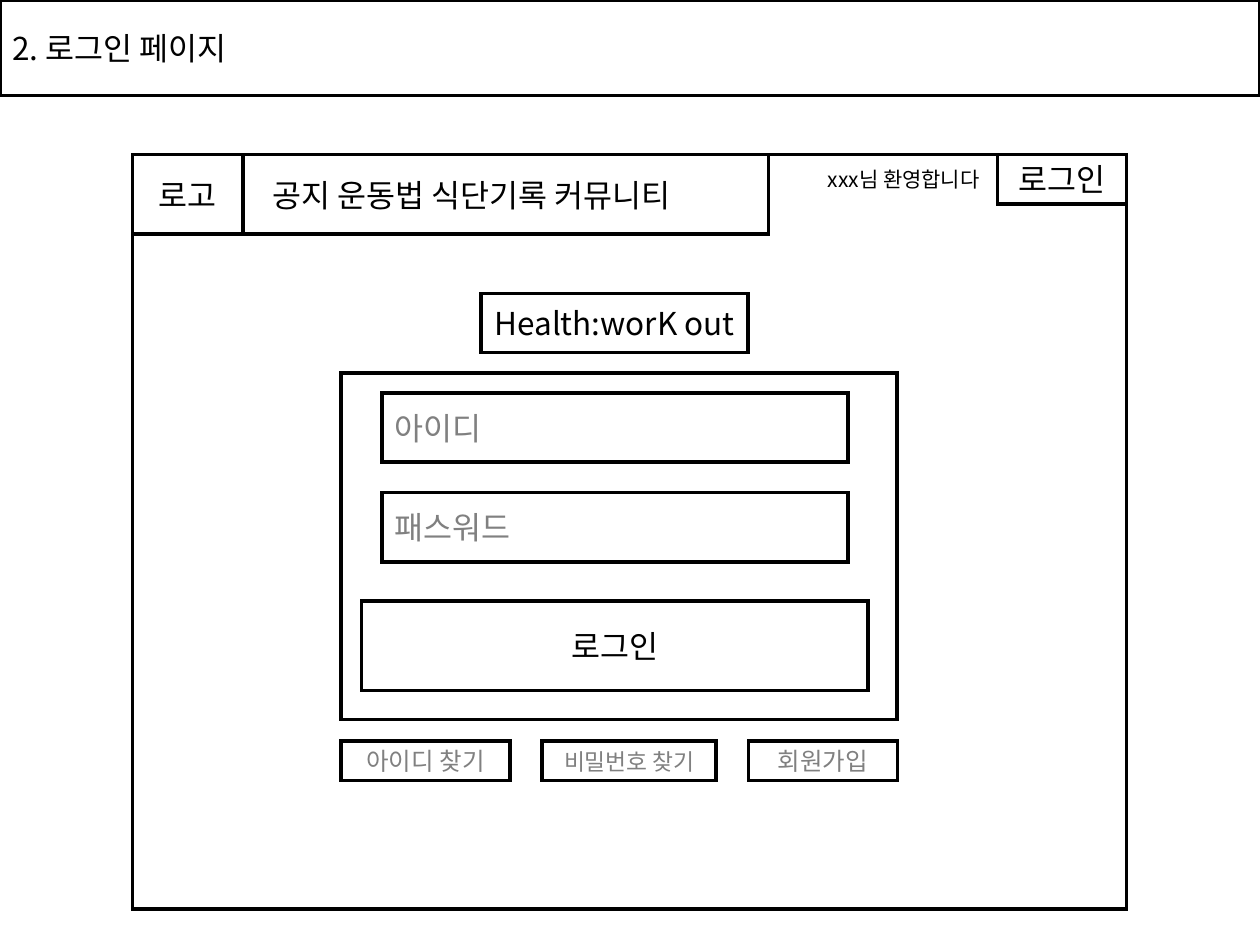
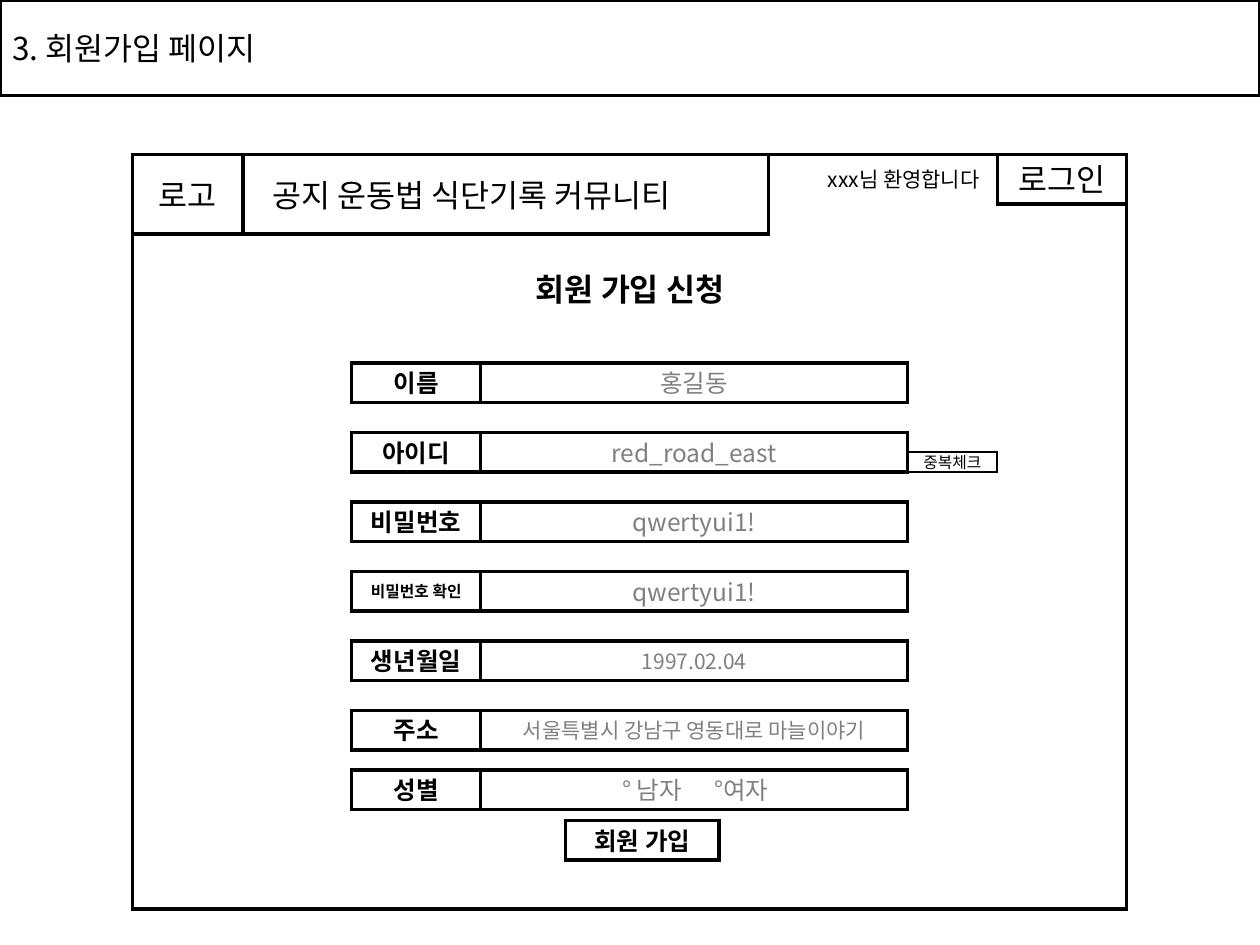
"""Build two wireframe slides: a login page and a sign-up page."""
from lxml import etree
from pptx import Presentation
from pptx.dml.color import RGBColor
from pptx.enum.shapes import MSO_SHAPE
from pptx.enum.text import MSO_ANCHOR, PP_ALIGN
from pptx.oxml.ns import qn
from pptx.util import Cm, Pt

RECTANGLE = MSO_SHAPE.RECTANGLE
MIDDLE = MSO_ANCHOR.MIDDLE
LEFT, CENTER, RIGHT = PP_ALIGN.LEFT, PP_ALIGN.CENTER, PP_ALIGN.RIGHT
BLACK = RGBColor(0x00, 0x00, 0x00)
GRAY = RGBColor(0x80, 0x80, 0x80)
WHITE = RGBColor(0xFF, 0xFF, 0xFF)
FONT = "Noto Sans CJK KR"
INSET = 0.2

PAGE_WIDTH, PAGE_HEIGHT = 25.4, 19.05
TITLE_HEIGHT = 1.93
FRAME_LEFT, FRAME_TOP, FRAME_WIDTH, FRAME_HEIGHT = 2.67, 3.12, 20.04, 15.21
LOGO_WIDTH, MENU_WIDTH, MENU_HEIGHT = 2.23, 10.59, 1.6
WELCOME_WIDTH, LOGIN_WIDTH, LOGIN_HEIGHT = 4.62, 2.6, 0.99

LOGIN_TITLE = "2. 로그인 페이지"
SIGNUP_TITLE = "3. 회원가입 페이지"
MENU = "공지 운동법 식단기록 커뮤니티"
LOGIN_FIELDS = ["아이디", "패스워드"]
LOGIN_LINKS = [("아이디 찾기", 3.4, 14), ("비밀번호 찾기", 3.51, 13), ("회원가입", 3.0, 14)]
SIGNUP_ROWS = [
    ("이름", 14, "홍길동", 14),
    ("아이디", 14, "red_road_east", 14),
    ("비밀번호", 14, "qwertyui1!", 14),
    ("비밀번호 확인", 9, "qwertyui1!", 14),
    ("생년월일", 14, "1997.02.04", 12),
    ("주소", 14, "서울특별시 강남구 영동대로 마늘이야기", 12),
]
GENDER_LABEL, GENDER_CHOICES = "성별", "° 남자\t°여자"

PANEL_LEFT, PANEL_TOP, PANEL_WIDTH, PANEL_HEIGHT = 6.88, 7.52, 11.2, 6.99
FIELD_LEFT, FIELD_TOP, FIELD_PITCH = 7.7, 7.92, 2.01
FIELD_WIDTH, FIELD_HEIGHT = 9.4, 1.4
LINK_TOP, LINK_GAP = 14.94, 0.65
ROW_LEFT, ROW_TOP, ROW_PITCH, ROW_HEIGHT = 7.09, 7.32, 1.4, 0.8
LABEL_WIDTH, VALUE_WIDTH = 2.6, 8.61
GENDER_TOP, GENDER_INSET, GENDER_TAB = 15.52, 2.85, 1.86
CHECK_WIDTH, CHECK_HEIGHT = 1.8, 0.41


def set_all(target, values):
    """Set every named attribute of the target."""
    for name, value in values.items():
        setattr(target, name, value)


def write(box, text, size=18, color=BLACK, bold=False, align=CENTER, inset=INSET):
    """Write one formatted paragraph, inset on the side it is aligned to."""
    frame = box.text_frame
    set_all(frame, {
        "word_wrap": True, "vertical_anchor": MIDDLE,
        "margin_left": Cm(inset if align == LEFT else INSET),
        "margin_right": Cm(inset if align == RIGHT else INSET),
        "margin_top": 0, "margin_bottom": 0,
    })
    para = frame.paragraphs[0]
    para.alignment = align
    span = para.add_run()
    span.text = text
    set_all(span.font, {"name": FONT, "size": Pt(size), "bold": bold})
    span.font.color.rgb = color
    etree.SubElement(span.font._element, qn("a:ea"), typeface=FONT)
    return para


def add_box(page, place, text=None, line=BLACK, width=2, fill=None, **style):
    """Add a sharp-cornered outlined rectangle, with text if given."""
    box = page.shapes.add_shape(RECTANGLE, *map(Cm, place))
    box.shadow.inherit = False
    if fill is None:
        box.fill.background()
    else:
        box.fill.solid()
        box.fill.fore_color.rgb = fill
    box.line.color.rgb = line
    box.line.width = Pt(width)
    outline = box._element.spPr.find(qn("a:ln"))
    etree.SubElement(outline, qn("a:miter"), lim="800000")
    return write(box, text, **style) if text else None


def add_page(deck, title):
    """Add a page with its title band, browser frame and menu bar."""
    page = deck.slides.add_slide(deck.slide_layouts[6])
    add_box(page, (0, 0, PAGE_WIDTH, TITLE_HEIGHT), title, align=LEFT, inset=0.25)
    add_box(page, (FRAME_LEFT, FRAME_TOP, FRAME_WIDTH, FRAME_HEIGHT))
    menu_left = FRAME_LEFT + LOGO_WIDTH
    welcome_left = menu_left + MENU_WIDTH
    login_left = FRAME_LEFT + FRAME_WIDTH - LOGIN_WIDTH
    add_box(page, (FRAME_LEFT, FRAME_TOP, LOGO_WIDTH, MENU_HEIGHT), "로고")
    add_box(page, (menu_left, FRAME_TOP, MENU_WIDTH, MENU_HEIGHT), MENU,
            align=LEFT, inset=0.6)
    welcome = page.shapes.add_textbox(
        *map(Cm, (welcome_left, FRAME_TOP, WELCOME_WIDTH, LOGIN_HEIGHT)))
    write(welcome, "xxx님 환영합니다", size=12, align=RIGHT, inset=0.36)
    add_box(page, (login_left, FRAME_TOP, LOGIN_WIDTH, LOGIN_HEIGHT), "로그인")
    return page


def add_row(page, top, label, label_size, value, value_size, **style):
    """Add a bold label and the gray sample value beside it."""
    add_box(page, (ROW_LEFT, top, LABEL_WIDTH, ROW_HEIGHT), label,
            size=label_size, bold=True)
    return add_box(page, (ROW_LEFT + LABEL_WIDTH, top, VALUE_WIDTH, ROW_HEIGHT), value,
                   size=value_size, color=GRAY, **style)


def build_login(deck):
    """Build the login page."""
    page = add_page(deck, LOGIN_TITLE)
    add_box(page, (9.7, 5.92, 5.38, 1.19), "Health:worK out", fill=WHITE)
    add_box(page, (PANEL_LEFT, PANEL_TOP, PANEL_WIDTH, PANEL_HEIGHT))
    for index, hint in enumerate(LOGIN_FIELDS):
        top = FIELD_TOP + index * FIELD_PITCH
        add_box(page, (FIELD_LEFT, top, FIELD_WIDTH, FIELD_HEIGHT), hint,
                color=GRAY, align=LEFT, inset=0.25)
    add_box(page, (7.29, 12.12, 10.21, 1.8), "로그인", fill=WHITE)
    left = PANEL_LEFT
    for text, width, size in LOGIN_LINKS:
        add_box(page, (left, LINK_TOP, width, ROW_HEIGHT), text, size=size, color=GRAY)
        left += width + LINK_GAP


def build_signup(deck):
    """Build the sign-up page."""
    page = add_page(deck, SIGNUP_TITLE)
    add_box(page, (8, 5.13, FIELD_WIDTH, FIELD_HEIGHT), "회원 가입 신청",
            line=WHITE, bold=True)
    for index, row in enumerate(SIGNUP_ROWS):
        add_row(page, ROW_TOP + index * ROW_PITCH, *row)
    choices = add_row(page, GENDER_TOP, GENDER_LABEL, 14, GENDER_CHOICES, 14,
                      align=LEFT, inset=GENDER_INSET)
    tabs = etree.SubElement(choices._p.get_or_add_pPr(), qn("a:tabLst"))
    etree.SubElement(tabs, qn("a:tab"), pos=str(Cm(GENDER_TAB)), algn="l")
    check_left = ROW_LEFT + LABEL_WIDTH + VALUE_WIDTH
    check_top = ROW_TOP + ROW_PITCH + ROW_HEIGHT - CHECK_HEIGHT
    add_box(page, (check_left, check_top, CHECK_WIDTH, CHECK_HEIGHT), "중복체크",
            width=1, size=9)
    add_box(page, (11.4, 16.54, 3.1, ROW_HEIGHT), "회원 가입", size=14, bold=True)


deck = Presentation()
set_all(deck, {"slide_width": Cm(PAGE_WIDTH), "slide_height": Cm(PAGE_HEIGHT)})
build_login(deck)
build_signup(deck)
deck.save("out.pptx")
